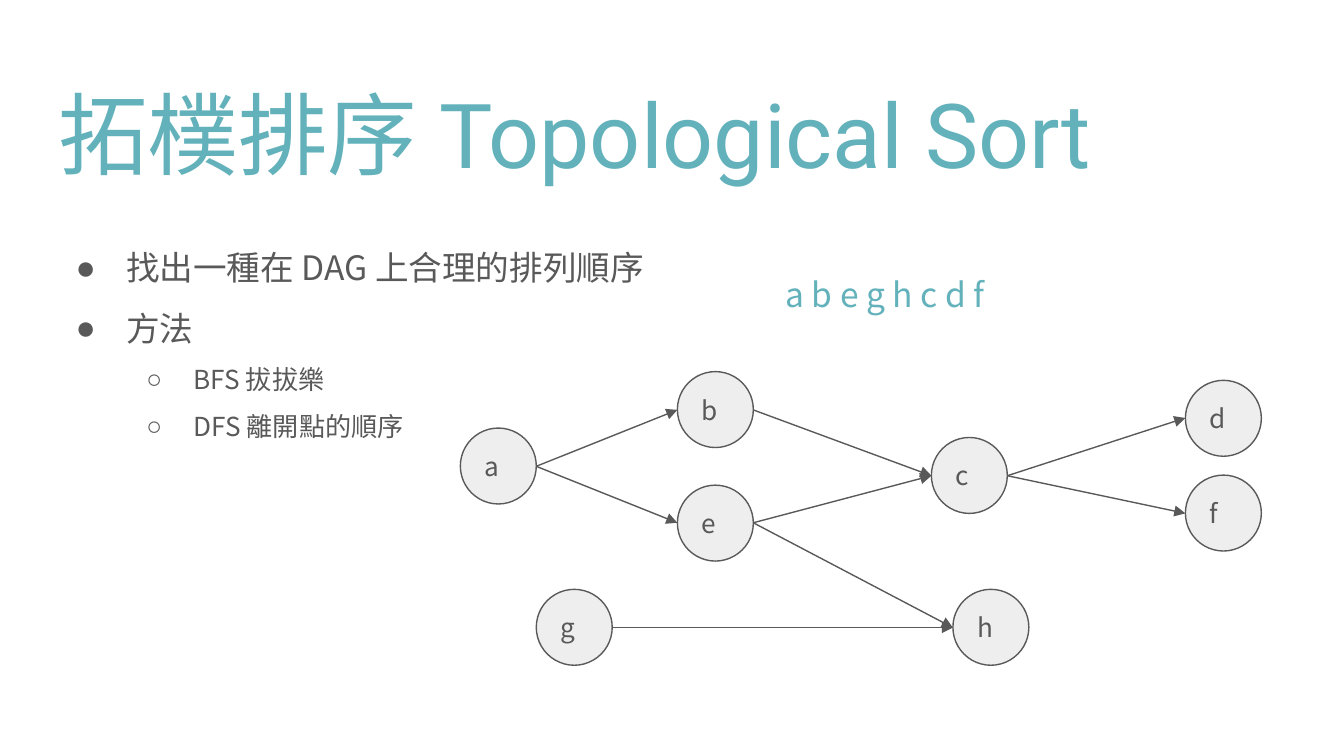
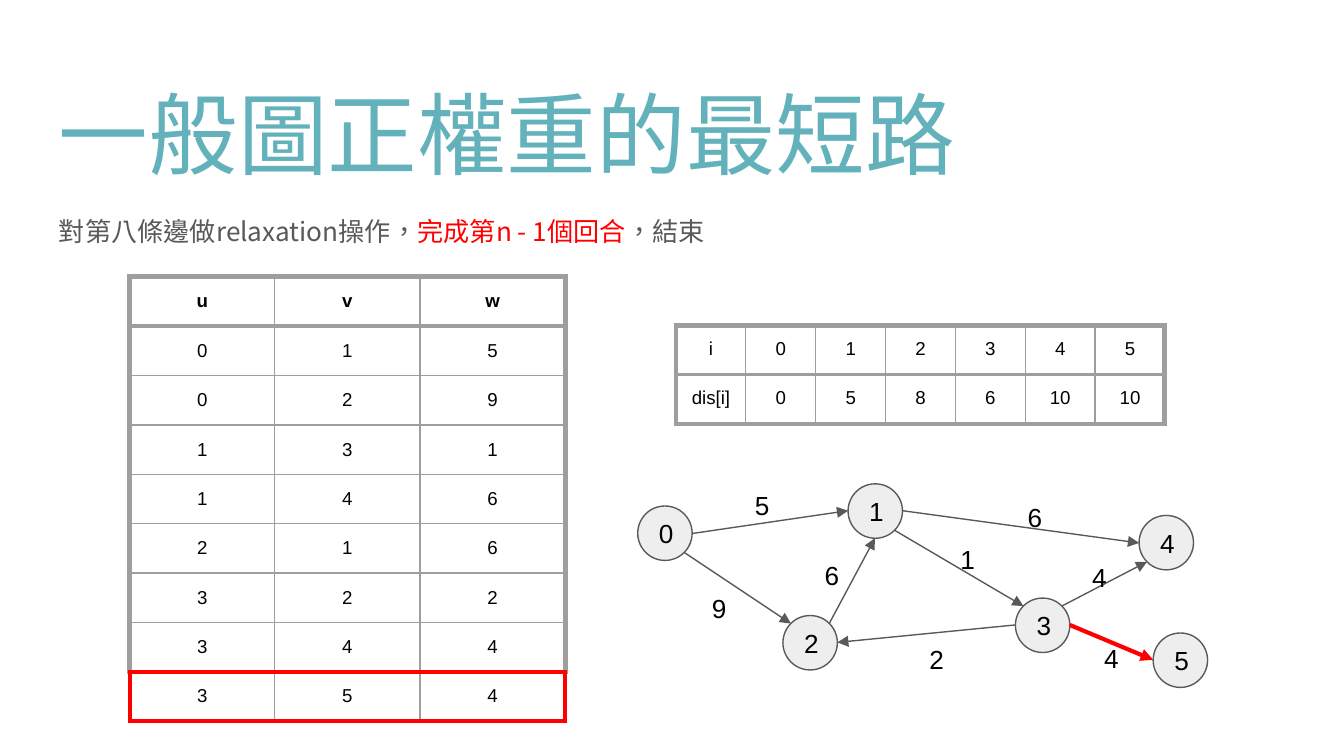
import math

import pptx
import pptx.dml.color
import pptx.enum.shapes
import pptx.enum.text
import pptx.oxml
import pptx.util

PX = 4572  # 200 px to the inch
HUES = {"teal": "63B2BB", "grey": "595959", "pale": "EEEEEE",
        "rule": "9E9E9E", "black": "000000", "red": "FF0000"}
RGB = {name: pptx.dml.color.RGBColor.from_string(code) for name, code in HUES.items()}
SANS, HEAD, PLAIN = "Noto Sans CJK TC", "Roboto", "Arial"
NS = 'xmlns:a="http://schemas.openxmlformats.org/drawingml/2006/main"'
LEFT, MID = pptx.enum.text.PP_ALIGN.LEFT, pptx.enum.text.PP_ALIGN.CENTER
CENTRE = pptx.enum.text.MSO_ANCHOR.MIDDLE


def say(para, text, size, face, hue, bold=False):
    """Add one styled run to a paragraph."""
    run = para.add_run()
    run.text = text
    run.font.size = pptx.util.Pt(size)
    run.font.name = face
    run.font.bold = bold
    run.font.color.rgb = RGB[hue]
    run.font._element.set("lang", "zh-TW")
    run.font._element.append(pptx.oxml.parse_xml(f'<a:ea {NS} typeface="{face}"/>'))


def note(page, *spot):
    """Add a wrapping text box and return its first paragraph."""
    frame = page.shapes.add_textbox(*(n * PX for n in spot)).text_frame
    frame.word_wrap = True
    frame.margin_left = frame.margin_right = 20 * PX
    frame.margin_top = frame.margin_bottom = 20 * PX
    return frame.paragraphs[0]


deck = pptx.Presentation()
deck.slide_width, deck.slide_height = 2000 * PX, 1125 * PX
blank = deck.slide_layouts[6]

# Graphs: node corners, then arcs as (start, side, end, side)
sorted_nodes = {"a": (685, 637), "b": (1008, 553), "c": (1386, 651), "d": (1764, 566),
                "e": (1008, 722), "f": (1764, 707), "g": (798, 877), "h": (1418, 877)}
sorted_arcs = [(pair[0], "r", pair[1], "l")
               for pair in "ab ae ec gh eh bc cf cd".split()]
path_nodes = {"0": (949, 753), "1": (1262, 720), "2": (1165, 916),
              "3": (1511, 890), "4": (1695, 767), "5": (1716, 942)}
path_arcs = [("0", "r", "1", "l"), ("0", "br", "2", "tl"), ("2", "tr", "1", "b"),
             ("1", "br", "3", "tl"), ("3", "l", "2", "r"), ("1", "r", "4", "l"),
             ("3", "tr", "4", "bl"), ("3", "r", "5", "l")]
ANGLES = {"r": 0, "br": 45, "b": 90, "bl": 135, "l": 180, "tl": 225, "tr": 315}

graphs = [
    ("拓樸排序 Topological Sort", sorted_nodes, sorted_arcs, 113, SANS, "grey", LEFT, None),
    ("一般圖正權重的最短路", path_nodes, path_arcs, 81, PLAIN, "black", MID, ("3", "5")),
]

# Titles, nodes and arrows of both slides
pages = []
for title, nodes, arcs, size, face, hue, align, hot in graphs:
    page = deck.slides.add_slide(blank)
    pages.append(page)
    say(note(page, 68, 98, 1864, 198), title, 48, HEAD, "teal")

    for name, (x, y) in nodes.items():
        node = page.shapes.add_shape(pptx.enum.shapes.MSO_SHAPE.OVAL,
                                     x * PX, y * PX, size * PX, size * PX)
        node.shadow.inherit = False
        node.fill.solid()
        node.fill.fore_color.rgb = RGB["pale"]
        node.line.color.rgb = RGB["grey"]
        node.line.width = pptx.util.Pt(0.75)
        frame = node.text_frame
        frame.vertical_anchor = CENTRE
        frame.margin_left = frame.margin_right = 20 * PX
        frame.margin_top = frame.margin_bottom = 20 * PX
        frame.paragraphs[0].alignment = align
        say(frame.paragraphs[0], name, 14, face, hue)

    for start, out, end, into in arcs:
        ends = []
        for name, side in ((start, out), (end, into)):
            turn = math.radians(ANGLES[side])
            for base, part in zip(nodes[name], (math.cos(turn), math.sin(turn))):
                ends.append(round(base + size / 2 * (1 + part)) * PX)
        arrow = page.shapes.add_connector(pptx.enum.shapes.MSO_CONNECTOR.STRAIGHT, *ends)
        marked = (start, end) == hot
        arrow.line.color.rgb = RGB["red" if marked else "grey"]
        arrow.line.width = pptx.util.Pt(2.25 if marked else 0.75)
        arrow.line._get_or_add_ln().append(
            pptx.oxml.parse_xml(f'<a:tailEnd {NS} type="triangle"/>'))
        arrow._element.spPr.append(pptx.oxml.parse_xml(f"<a:effectLst {NS}/>"))

first, second = pages

# Slide 1: bullets and the resulting order
points = [(0, "找出一種在 DAG 上合理的排列順序"), (0, "方法"),
          (1, "BFS 拔拔樂"), (1, "DFS 離開點的順序")]
para = note(first, 68, 318, 1864, 680)
body = para._parent
for i, (level, text) in enumerate(points):
    if i:
        para = body.add_paragraph()
    mark, hang, size = (("●", 75, 18), ("○", 70, 14))[level]
    props = para._p.get_or_add_pPr()
    props.set("marL", str(100 * (level + 1) * PX))
    props.set("indent", str(-hang * PX))
    for bullet in (f'<a:buClr {NS}><a:srgbClr val="{HUES["grey"]}"/></a:buClr>',
                   f'<a:buFont {NS} typeface="{PLAIN}"/>',
                   f'<a:buChar {NS} char="{mark}"/>'):
        props.append(pptx.oxml.parse_xml(bullet))
    para.level = level
    para.line_spacing = 1.5
    say(para, text, size, SANS, "grey")
say(note(first, 1149, 388, 382, 84), "a b e g h c d f", 18, SANS, "teal")

# Slide 2: step description
para = note(second, 68, 300, 1728, 106)
for text, hue in (("對第八條邊做relaxation操作，", "grey"),
                  ("完成第n - 1個回合", "red"), ("，結束", "grey")):
    say(para, text, 14, SANS, hue)

# Slide 2: arc weights
weights = [("5", 1082, 708), ("9", 1018, 862), ("6", 1186, 812), ("2", 1342, 938),
           ("1", 1388, 788), ("6", 1488, 726), ("4", 1584, 816), ("4", 1602, 936)]
for text, x, y in weights:
    para = note(second, x, y, 104, 66)
    para.alignment = MID
    say(para, text, 14, PLAIN, "black")

# Slide 2: distances and edge list; the marked row has a red frame
dists = [["i", "0", "1", "2", "3", "4", "5"],
         ["dis[i]", "0", "5", "8", "6", "10", "10"]]
edges = [list(row) for row in "uvw 015 029 131 146 216 322 344 354".split()]
tables = [(dists, 1006, 484, 104, 54, False, None), (edges, 193, 412, 216, 60, True, 8)]
for rows, x, y, wide, high, bold, hot in tables:
    last, edge = len(rows) - 1, len(rows[0]) - 1
    holder = second.shapes.add_table(last + 1, edge + 1, x * PX, y * PX,
                                     656 * PX, 656 * PX)
    grid = holder.table
    grid.first_row = grid.horz_banding = False
    for col in grid.columns:
        col.width = wide * PX
    for r, row in enumerate(rows):
        grid.rows[r].height = high * PX
        for c, text in enumerate(row):
            cell = grid.cell(r, c)
            cell.margin_left = cell.margin_right = 20 * PX
            cell.margin_top = cell.margin_bottom = 20 * PX
            if bold:
                cell.vertical_anchor = CENTRE
            para = cell.text_frame.paragraphs[0]
            para.alignment = MID
            say(para, text, 10, PLAIN, "black", bold and r == 0)

            # Thick frame, medium rule under the head, thin rules inside
            lines = {"L": 3 if c == 0 else 0.75,
                     "R": 3 if c == edge else 0.75,
                     "T": 3 if r == 0 else 2.25 if r == 1 else 0.75,
                     "B": 3 if r == last else 2.25 if r == 0 else 0.75}
            reds = ""
            if r == hot:
                reds = "TB" + "L" * (c == 0) + "R" * (c == edge)
            elif hot and r == hot - 1:
                reds = "B"
            props = cell._tc.get_or_add_tcPr()
            for side, width in lines.items():
                hue = "red" if side in reds else "rule"
                thick = pptx.util.Pt(2.25 if side in reds else width)
                props.append(pptx.oxml.parse_xml(
                    f'<a:ln{side} {NS} w="{thick}"><a:solidFill>'
                    f'<a:srgbClr val="{HUES[hue]}"/></a:solidFill></a:ln{side}>'))
            cell.fill.background()
    holder.width = holder.height = 656 * PX

deck.save("out.pptx")
